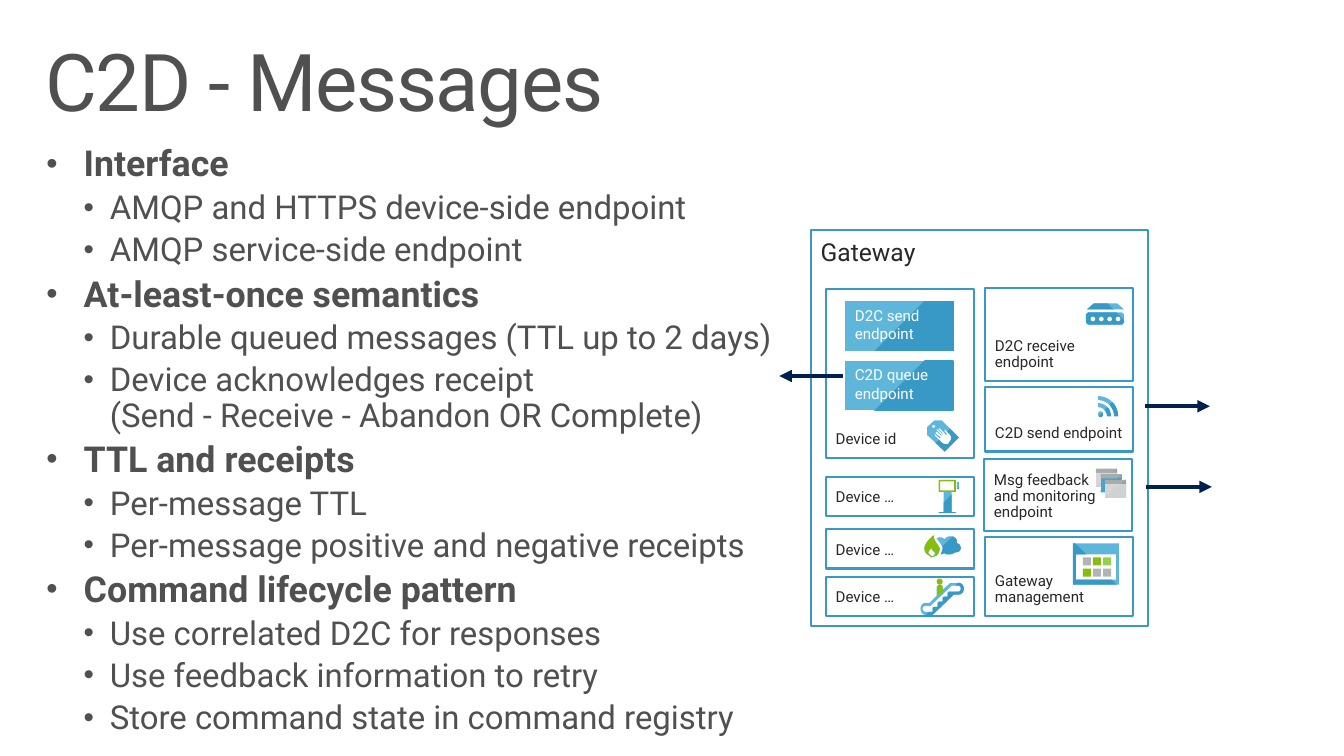
"""Build the C2D messages slide with its gateway diagram."""
import math
from dataclasses import dataclass

import lxml.etree
import pptx
import pptx.dml.color
import pptx.enum.shapes
import pptx.enum.text
import pptx.oxml.ns
import pptx.util

Inches = pptx.util.Inches
Shape = pptx.enum.shapes.MSO_SHAPE
Anchor = pptx.enum.text.MSO_ANCHOR
qn = pptx.oxml.ns.qn


@dataclass(frozen=True)
class Blend:
    first: str
    second: str
    stops: tuple = (50, 50)
    angle: int = 45


@dataclass(frozen=True)
class Theme:
    font: str = "Roboto"
    title: float = 56.9
    heading: float = 25.5
    bullet: float = 23.5
    hub: float = 17.6
    label: float = 10.8
    grey: str = "505050"
    dark: str = "282828"
    white: str = "FFFFFF"
    border: str = "3999C6"
    arrow: str = "002050"
    green: str = "86BE0E"
    lime: str = "92D050"
    silver: str = "B2B3B3"
    blue: Blend = Blend("5EB6DA", "3999C6")
    blue_down: Blend = Blend("5EB6DA", "3999C6", angle=135)
    router: Blend = Blend("5EB6DA", "3999C6", (28, 28), 135)
    pane: Blend = Blend("D6D6D6", "D1D1D1", (46, 48), 50)
    blue_pane: Blend = Blend("4CA3CC", "45A2CF", (46, 46), 50)
    pane_bar: Blend = Blend("9D9E9F", "AAABAB", (19, 19), 230)


THEME = Theme()
BULLETS = (
    ("Interface", ("AMQP and HTTPS device-side endpoint", "AMQP service-side endpoint")),
    ("At-least-once semantics", (
        "Durable queued messages (TTL up to 2 days)",
        "Device acknowledges receipt\n(Send - Receive - Abandon OR Complete)")),
    ("TTL and receipts", ("Per-message TTL", "Per-message positive and negative receipts")),
    ("Command lifecycle pattern", (
        "Use correlated D2C for responses", "Use feedback information to retry",
        "Store command state in command registry")),
)
PANELS = (
    ("Device id", 8.19, 2.87, 1.67), ("Device …", 8.19, 4.73, 0.39),
    ("Device …", 8.19, 5.25, 0.39), ("Device …", 8.19, 5.72, 0.39),
    ("D2C receive endpoint", 9.77, 2.86, 0.92), ("C2D send endpoint", 9.77, 3.84, 0.64),
    ("Gateway management", 9.77, 5.33, 0.78),
    ("Msg feedback\nand monitoring endpoint", 9.76, 4.55, 0.72),
)
LEAF = (
    [(9.25, 5.43), (9.22, 5.45, 9.2, 5.48, 9.21, 5.49), (9.22, 5.51, 9.24, 5.51, 9.24, 5.52),
     (9.25, 5.52), (9.27, 5.51, 9.28, 5.5, 9.27, 5.48), (9.26, 5.47, 9.25, 5.46, 9.24, 5.45)],
    [(9.26, 5.31), (9.26, 5.37, 9.3, 5.39, 9.32, 5.44), (9.32, 5.47, 9.3, 5.52, 9.26, 5.52),
     (9.24, 5.53), (9.22, 5.51, 9.18, 5.5, 9.17, 5.46), (9.16, 5.41, 9.2, 5.36, 9.26, 5.31)],
)
CLOUD = [
    (9.43, 5.32), (9.46, 5.32, 9.49, 5.34, 9.49, 5.37), (9.49, 5.39),
    (9.51, 5.39, 9.53, 5.41, 9.53, 5.44), (9.53, 5.46, 9.51, 5.48, 9.48, 5.48),
    (9.47, 5.48), (9.46, 5.49, 9.44, 5.5, 9.41, 5.5), (9.39, 5.5, 9.38, 5.5, 9.37, 5.49),
    (9.35, 5.49, 9.34, 5.5, 9.33, 5.5), (9.34, 5.48, 9.35, 5.45, 9.35, 5.43),
    (9.33, 5.39, 9.31, 5.37, 9.29, 5.34), (9.3, 5.34, 9.31, 5.33, 9.32, 5.33),
    (9.34, 5.33, 9.36, 5.34, 9.37, 5.35), (9.38, 5.33, 9.4, 5.32, 9.43, 5.32)]
TAG = [(9.37, 4.48), (9.19, 4.31), (9.19, 4.24), (9.27, 4.17), (9.34, 4.17), (9.51, 4.34)]
HAND = [
    (9.38, 4.27), (9.38, 4.26, 9.37, 4.26, 9.37, 4.27), (9.36, 4.27, 9.36, 4.28, 9.37, 4.28),
    (9.39, 4.31), (9.38, 4.31), (9.32, 4.25), (9.31, 4.25), (9.31, 4.26), (9.35, 4.3),
    (9.35, 4.31), (9.3, 4.26), (9.29, 4.26), (9.29, 4.27), (9.34, 4.32), (9.34, 4.33),
    (9.29, 4.28), (9.28, 4.29), (9.28, 4.3), (9.33, 4.34), (9.32, 4.35), (9.28, 4.31),
    (9.27, 4.31), (9.27, 4.32), (9.34, 4.39), (9.36, 4.41, 9.39, 4.41, 9.41, 4.4),
    (9.41, 4.39, 9.42, 4.38, 9.42, 4.38), (9.44, 4.36, 9.44, 4.33, 9.42, 4.31)]
RAIL = [
    (9.5, 5.78), (9.43, 5.78), (9.35, 5.85), (9.35, 5.83), (9.35, 5.81, 9.34, 5.8, 9.32, 5.8),
    (9.31, 5.8, 9.29, 5.81, 9.29, 5.83), (9.29, 5.91), (9.22, 5.98), (9.18, 5.98),
    (9.15, 5.98, 9.13, 6.01, 9.13, 6.04), (9.13, 6.07, 9.15, 6.1, 9.18, 6.1), (9.25, 6.1),
    (9.46, 5.9), (9.5, 5.9), (9.54, 5.9, 9.56, 5.87, 9.56, 5.84),
    (9.56, 5.81, 9.54, 5.78, 9.5, 5.78)]
STEPS = [
    (9.5, 5.87), (9.4, 5.87), (9.4, 5.92), (9.35, 5.92), (9.35, 5.97), (9.3, 5.97),
    (9.3, 6.02), (9.25, 6.02), (9.25, 6.07), (9.18, 6.07),
    (9.17, 6.07, 9.15, 6.06, 9.15, 6.04), (9.15, 6.02, 9.17, 6.01, 9.18, 6.01),
    (9.23, 6.01), (9.44, 5.81), (9.5, 5.81), (9.52, 5.81, 9.53, 5.82, 9.53, 5.84),
    (9.53, 5.86, 9.52, 5.87, 9.5, 5.87)]
RIDER = [
    (9.32, 5.8), (9.34, 5.8, 9.35, 5.81, 9.35, 5.83), (9.35, 5.91), (9.36, 5.85), (9.3, 5.91),
    (9.3, 5.83), (9.3, 5.81, 9.31, 5.8, 9.32, 5.8)]


def rgb(value):
    """Turn a hex string into a colour."""
    return pptx.dml.color.RGBColor.from_string(value)


def paint(shape, fill, border=None, alpha=None):
    """Set a shape's fill and outline and drop its shadow."""
    shape.shadow.inherit = False
    if isinstance(fill, Blend):
        shape.fill.gradient()
        shape.fill.gradient_angle = 360 - fill.angle
        for stop, color, place in zip(shape.fill.gradient_stops, (fill.first, fill.second), fill.stops):
            stop.color.rgb = rgb(color)
            stop.position = place / 100
    else:
        shape.fill.solid()
        shape.fill.fore_color.rgb = rgb(fill)
    if alpha:
        color = shape.fill._xPr.find(".//" + qn("a:srgbClr"))
        lxml.etree.SubElement(color, qn("a:alpha"), val=str(alpha * 1000))
    if border:
        shape.line.color.rgb = rgb(border)
        shape.line.width = pptx.util.Pt(1.5)
    else:
        shape.line.fill.background()


def block(page, kind, left, top, width, height, fill, border=None, alpha=None, adjust=None):
    """Add a painted preset shape."""
    shape = page.shapes.add_shape(kind, Inches(left), Inches(top), Inches(width), Inches(height))
    if adjust is not None:
        shape.adjustments[0] = adjust
    paint(shape, fill, border, alpha)
    return shape


def flatten(contour):
    """Turn points and cubic curves, in inches, into plain points."""
    points = []
    for item in contour:
        if len(item) == 2:
            points.append(item)
            continue
        knots = [points[-1], item[:2], item[2:4], item[4:]]
        for step in range(1, 7):
            t = step / 6
            weights = ((1 - t) ** 3, 3 * t * (1 - t) ** 2, 3 * t * t * (1 - t), t ** 3)
            points.append(tuple(sum(w * k[axis] for w, k in zip(weights, knots)) for axis in (0, 1)))
    return [(Inches(x), Inches(y)) for x, y in points]


def outline(page, contours, fill):
    """Add one freeform made of several closed contours."""
    first, *others = [flatten(contour) for contour in contours]
    builder = page.shapes.build_freeform(*first[0], scale=1.0)
    builder.add_line_segments(first[1:], close=True)
    for points in others:
        builder.move_to(*points[0])
        builder.add_line_segments(points[1:], close=True)
    paint(builder.convert_to_shape(), fill)


def arc(x, y, radius, start=0, end=360):
    """List points on an arc, angles in degrees."""
    angles = [math.radians(start + (end - start) * step / 16) for step in range(17)]
    return [(x + radius * math.cos(a), y + radius * math.sin(a)) for a in angles]


def rectangle(left, top, right, bottom):
    """List the corners of a rectangle."""
    return [(left, top), (right, top), (right, bottom), (left, bottom)]


def frame_text(shape, insets, anchor=Anchor.TOP):
    """Prepare a shape's text frame and return it."""
    frame = shape.text_frame
    frame.word_wrap = True
    frame.vertical_anchor = anchor
    frame.margin_left, frame.margin_top, frame.margin_right, frame.margin_bottom = map(Inches, insets)
    return frame


def write(para, text, size, color, bold=False, spacing=0.9, before=0, track=None):
    """Write text into a paragraph, with line breaks at newlines."""
    para.alignment = pptx.enum.text.PP_ALIGN.LEFT
    para.line_spacing = spacing
    para.space_before = pptx.util.Pt(before)
    for index, line in enumerate(text.split("\n")):
        if index:
            para.add_line_break()
        span = para.add_run()
        span.text = line
        span.font.name, span.font.size, span.font.bold = THEME.font, pptx.util.Pt(size), bold
        span.font.color.rgb = rgb(color)
        if track:
            span.font._element.set("spc", str(track * 100))


def add_bullet(para, level):
    """Give a paragraph its bullet and hanging indent."""
    margin, hang = ((0.37, 0.37), (0.63, 0.26))[level]
    para.level = level
    props = para._p.get_or_add_pPr()
    props.set("marL", str(Inches(margin)))
    props.set("indent", str(-Inches(hang)))
    lxml.etree.SubElement(props, qn("a:buSzPct"), val="90000")
    lxml.etree.SubElement(props, qn("a:buFont"), typeface="Arial")
    lxml.etree.SubElement(props, qn("a:buChar"), char="•")


def add_copy(page):
    """Add the title and the bullet list."""
    insets = (0.16, 0.1, 0.16, 0.1)
    title = page.shapes.add_textbox(Inches(0.29), Inches(0.32), Inches(12.74), Inches(1.96))
    write(frame_text(title, insets).paragraphs[0], "C2D - Messages", THEME.title, THEME.grey, track=-1)
    body = page.shapes.add_textbox(Inches(0.3), Inches(1.35), Inches(7.84), Inches(4.4))
    frame = frame_text(body, insets)
    rows = [row for heading, items in BULLETS for row in [(heading, 0)] + [(item, 1) for item in items]]
    for index, (text, level) in enumerate(rows):
        para = frame.add_paragraph() if index else frame.paragraphs[0]
        add_bullet(para, level)
        size = THEME.bullet if level else THEME.heading
        write(para, text, size, THEME.grey, bold=not level, before=size * 0.2 if index else 0)


def add_panel(page, text, left, top, width, height, size=THEME.label, anchor=Anchor.BOTTOM):
    """Add a bordered, labelled panel."""
    panel = block(page, Shape.RECTANGLE, left, top, width, height, THEME.white, THEME.border, 79)
    write(frame_text(panel, (0.1, 0.1, 0, 0.1), anchor).paragraphs[0], text, size, THEME.dark)


def add_endpoint(page, text, top):
    """Add a blue device endpoint."""
    box = block(page, Shape.RECTANGLE, 8.38, top, 1.08, 0.49, THEME.blue)
    write(frame_text(box, (0.1, 0.05, 0.1, 0.05)).paragraphs[0], text, THEME.label, THEME.white, spacing=1.0)


def add_device_icons(page):
    """Draw the tag, kiosk, climate and escalator icons."""
    outline(page, [TAG, arc(9.26, 4.23, 0.015), HAND], THEME.blue)
    block(page, Shape.FRAME, 9.31, 4.76, 0.17, 0.12, THEME.green)
    kiosk = [(9.36, 4.88), (9.44, 4.88), (9.44, 5.08), (9.48, 5.08),
             (9.48, 5.09), (9.31, 5.09), (9.31, 5.08), (9.36, 5.08)]
    outline(page, [kiosk, rectangle(9.49, 4.78, 9.51, 4.85)], THEME.blue)
    outline(page, [*LEAF, CLOUD], THEME.blue)
    outline(page, LEAF, THEME.green)
    outline(page, [RAIL, STEPS], THEME.blue)
    block(page, Shape.OVAL, 9.29, 5.74, 0.06, 0.06, THEME.green)
    outline(page, [RIDER], THEME.green)


def add_service_icons(page):
    """Draw the router, feed, windows and dashboard icons."""
    lights = [arc(10.84 + 0.083 * index, 3.165, 0.025) for index in range(4)]
    lid = [(10.85, 3.01), (11.08, 3.01), (11.15, 3.07), (10.78, 3.07)]
    case = [(10.79, 3.1), (11.13, 3.1), (11.15, 3.12), (11.15, 3.2),
            (11.13, 3.22), (10.79, 3.22), (10.77, 3.2), (10.77, 3.12)]
    outline(page, [*lights, case, lid], THEME.router)
    block(page, Shape.OVAL, 10.89, 4.08, 0.05, 0.06, THEME.blue)
    for radius in (0.13, 0.2):
        ring = arc(10.89, 4.13, radius, -90, 0) + arc(10.89, 4.13, radius - 0.04, 0, -90)
        outline(page, [ring], THEME.blue)
    for index, fill in enumerate((THEME.pane, THEME.blue_pane, THEME.pane)):
        left, top = 10.87 + 0.045 * index, 4.65 + 0.055 * index
        block(page, Shape.ROUND_2_SAME_RECTANGLE, left, top, 0.21, 0.18, fill, adjust=0.053)
        block(page, Shape.ROUND_2_SAME_RECTANGLE, left, top, 0.21, 0.04, THEME.pane_bar, adjust=0.241)
    outline(page, [rectangle(10.67, 5.5, 11.07, 5.75), rectangle(10.64, 5.39, 11.1, 5.8)], THEME.blue_down)
    tiles = (THEME.silver, THEME.green, THEME.lime, THEME.green, THEME.silver, THEME.silver)
    for index, fill in enumerate(tiles):
        row, column = divmod(index, 3)
        block(page, Shape.RECTANGLE, 10.74 + 0.1 * column, 5.53 + 0.11 * row, 0.08, 0.08, fill)


def add_arrow(page, start, end, y):
    """Add a horizontal arrow."""
    arrow = page.shapes.add_connector(
        pptx.enum.shapes.MSO_CONNECTOR.STRAIGHT, Inches(start), Inches(y), Inches(end), Inches(y))
    arrow.line.color.rgb = rgb(THEME.arrow)
    arrow.line.width = pptx.util.Pt(3)
    lxml.etree.SubElement(arrow.line._get_or_add_ln(), qn("a:tailEnd"), type="triangle")
    lxml.etree.SubElement(arrow._element.spPr, qn("a:effectLst"))


def main():
    """Build and save the deck."""
    deck = pptx.Presentation()
    deck.slide_width, deck.slide_height = Inches(13.33), Inches(7.5)
    page = deck.slides.add_slide(deck.slide_layouts[6])
    add_copy(page)
    add_panel(page, "Gateway", 8.04, 2.28, 3.35, 3.93, THEME.hub, Anchor.TOP)
    for text, left, top, height in PANELS:
        add_panel(page, text, left, top, 1.47, height)
    add_endpoint(page, "C2D queue\nendpoint", 3.58)
    add_endpoint(page, "D2C send endpoint", 2.99)
    add_device_icons(page)
    add_service_icons(page)
    for start, end, y in ((8.36, 7.73, 3.73), (11.37, 12.02, 4.83), (11.36, 12, 4.03)):
        add_arrow(page, start, end, y)
    deck.save("out.pptx")


if __name__ == "__main__":
    main()
